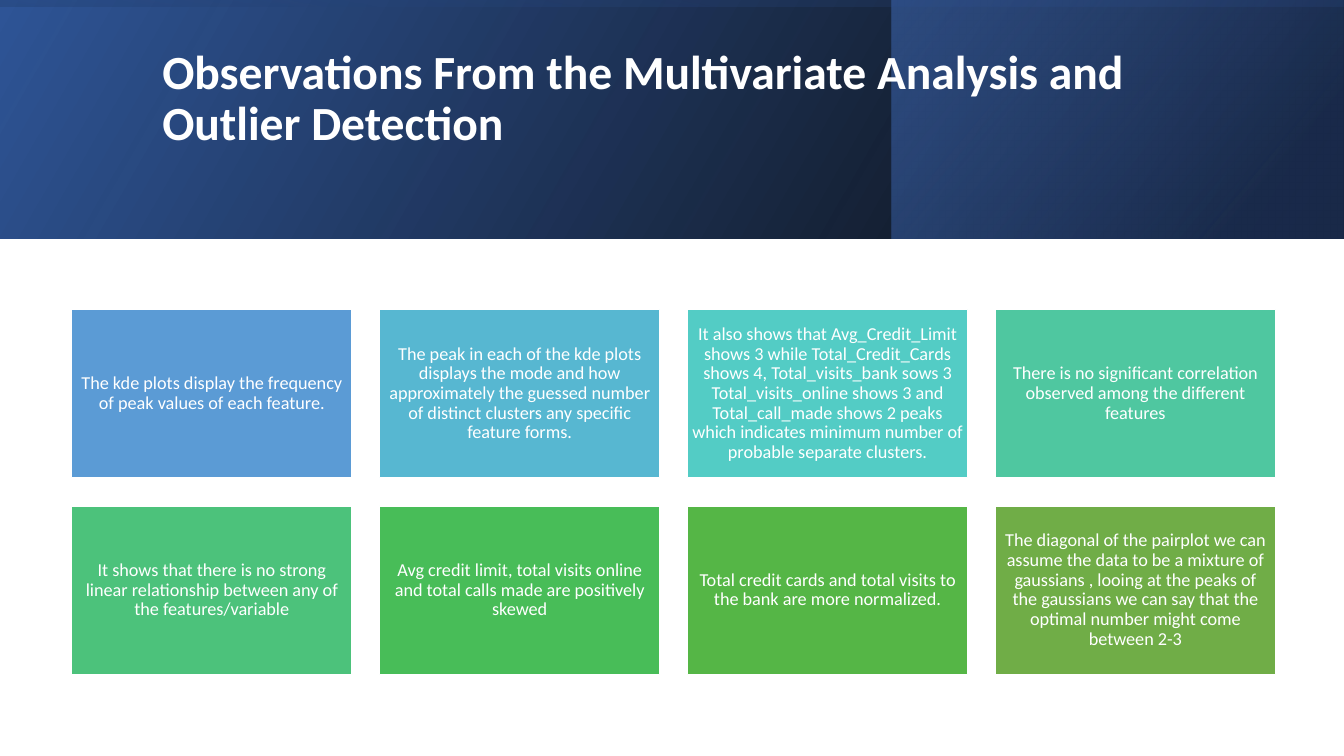
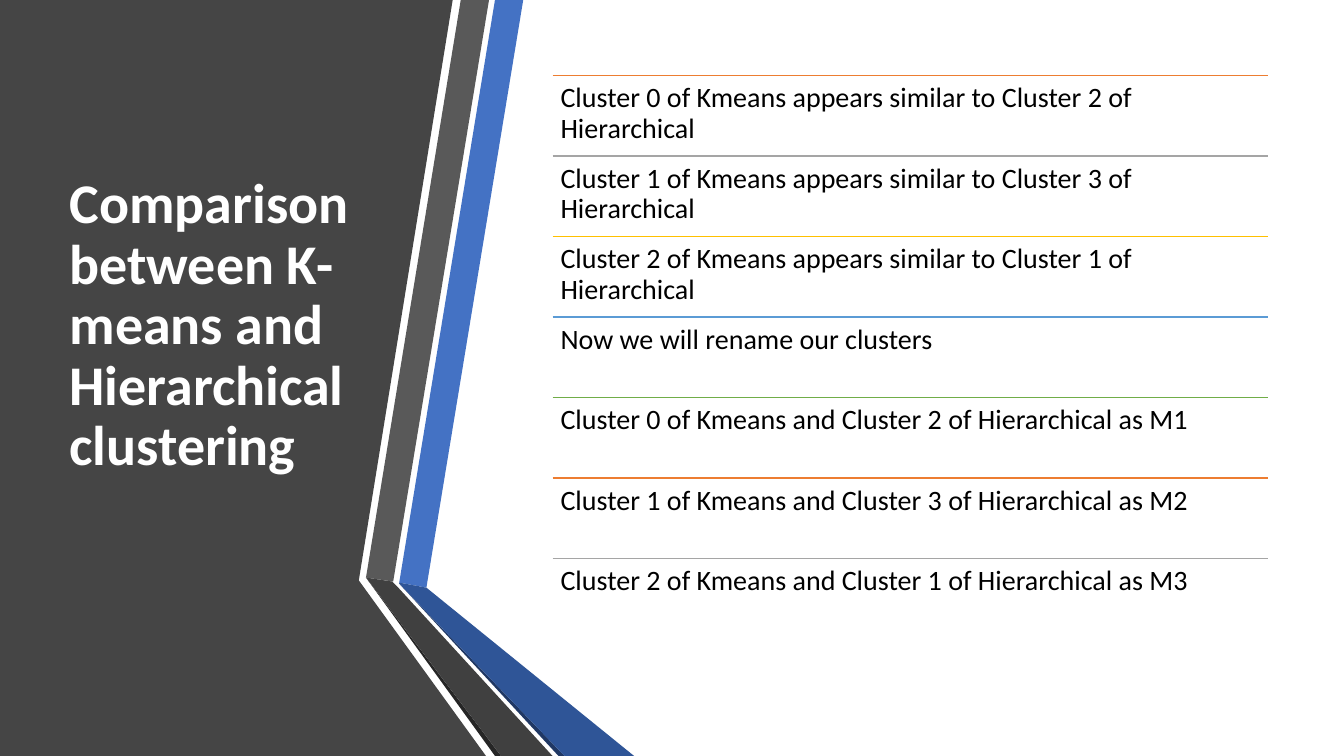
from dataclasses import dataclass

from lxml import etree
from pptx import Presentation
from pptx.dml.color import RGBColor
from pptx.enum import shapes, text
from pptx.oxml import parse_xml
from pptx.oxml.ns import nsdecls, qn
from pptx.util import Inches, Pt


@dataclass(frozen=True)
class Theme:
    font: str = "Calibri"
    white: str = "FFFFFF"
    black: str = "000000"
    dark: str = "454545"
    blue: str = "4472C4"
    deep: str = "2F5597"
    navy: str = "203864"
    sky: str = "5B9BD5"
    green: str = "70AD47"
    orange: str = "ED7D31"
    gray: str = "A5A5A5"
    gold: str = "FFC000"
    head: int = 34
    side: int = 40
    tile: int = 13
    row: int = 20
    lead: float = 0.9


T = Theme()

TILES = [
    ("The kde plots display the frequency of peak values of each feature.", T.sky),
    ("The peak in each of the kde plots displays the mode and how approximately "
     "the guessed number of distinct clusters any specific feature forms.", "57B7D1"),
    ("It also shows that Avg_Credit_Limit shows 3 while Total_Credit_Cards shows 4, "
     "Total_visits_bank sows 3 Total_visits_online shows 3 and Total_call_made shows "
     "2 peaks which indicates minimum number of probable separate clusters.", "53CCC5"),
    ("There is no significant correlation observed among the different features",
     "4FC7A0"),
    ("It shows that there is no strong linear relationship between any of the "
     "features/variable", "4CC27B"),
    ("Avg credit limit, total visits online and total calls made are positively "
     "skewed", "48BD58"),
    ("Total credit cards and total visits to the bank are more normalized.", "55B646"),
    ("The diagonal of the pairplot we can assume the data to be a mixture of "
     "gaussians , looing at the peaks of the gaussians we can say that the optimal "
     "number might come between 2-3", T.green),
]

ROWS = [
    "Cluster 0 of Kmeans appears similar to Cluster 2 of Hierarchical",
    "Cluster 1 of Kmeans appears similar to Cluster 3 of Hierarchical",
    "Cluster 2 of Kmeans appears similar to Cluster 1 of Hierarchical",
    "Now we will rename our clusters",
    "Cluster 0 of Kmeans and Cluster 2 of Hierarchical as M1",
    "Cluster 1 of Kmeans and Cluster 3 of Hierarchical as M2",
    "Cluster 2 of Kmeans and Cluster 1 of Hierarchical as M3",
]
RULES = [T.orange, T.gray, T.gold, T.sky, T.green]

FOLDS = [
    (T.dark, [(0, 0), (4.49, 0), (3.56, 5.75), (3.56, 5.76), (4.82, 7.5), (0, 7.5)]),
    (T.blue, [(3.96, 5.78), (4.23, 5.83), (5.19, 0), (4.91, 0)]),
    ("595959", [(4.85, 0), (4.57, 0), (3.63, 5.73), (3.9, 5.77)]),
    ("262626", [(3.63, 5.73), (4.91, 7.5), (4.97, 7.5)]),
    (T.navy, [(3.96, 5.79), (5.54, 7.5), (5.6, 7.5)]),
    (T.deep, [(3.96, 5.79), (5.6, 7.5), (6.29, 7.5), (4.23, 5.83), (3.96, 5.78)]),
    ("404040", [(5.48, 7.5), (3.95, 5.83), (3.89, 5.77), (3.63, 5.73), (4.97, 7.5)]),
]


def rgb(code):
    return RGBColor.from_string(code)


def write(shape, words, size, color=T.white, bold=False, align=text.PP_ALIGN.LEFT,
          anchor=text.MSO_ANCHOR.MIDDLE, inset=(0.1, 0.05, 0.1, 0.05)):
    """Fill a shape with one formatted paragraph; inset is left, top, right, bottom."""
    frame = shape.text_frame
    frame.word_wrap = True
    frame.auto_size = text.MSO_AUTO_SIZE.NONE
    frame.vertical_anchor = anchor
    (frame.margin_left, frame.margin_top,
     frame.margin_right, frame.margin_bottom) = map(Inches, inset)
    para = frame.paragraphs[0]
    para.alignment, para.line_spacing = align, T.lead
    run = para.add_run()
    run.text = words
    font = run.font
    font.name, font.size, font.bold = T.font, Pt(size), bold
    font.color.rgb = rgb(color)


def title(slide, words, box, size, lift):
    """Place the title above all else; lift is the bottom inset that raises it."""
    shape = slide.shapes.title
    shape.left, shape.top, shape.width, shape.height = map(Inches, box)
    write(shape, words, size, bold=True, inset=(0.1, 0.05, 0.1, lift))
    shape._element.getparent().append(shape._element)


def band(slide, box, stops, angle, turn=0):
    """Draw a mirrored rectangle with a see-through gradient."""
    shape = slide.shapes.add_shape(shapes.MSO_SHAPE.RECTANGLE, *map(Inches, box))
    shape.rotation = turn
    marks = "".join(
        f'<a:gs pos="{pos * 1000}"><a:srgbClr val="{code}">'
        f'<a:alpha val="{alpha * 1000}"/></a:srgbClr></a:gs>'
        for pos, code, alpha in stops)
    props = shape._element.spPr
    props.get_or_add_xfrm().set("flipH", "1")
    props.find(qn("a:prstGeom")).addnext(parse_xml(
        f'<a:gradFill {nsdecls("a")} rotWithShape="1"><a:gsLst>{marks}</a:gsLst>'
        f'<a:lin ang="{angle * 60000}" scaled="0"/></a:gradFill>'))
    shape.line.fill.background()
    shape.shadow.inherit = False


def tile(slide, box, words, color):
    shape = slide.shapes.add_shape(shapes.MSO_SHAPE.RECTANGLE, *map(Inches, box))
    shape.shadow.inherit = False
    shape.fill.solid()
    shape.fill.fore_color.rgb = rgb(color)
    shape.line.color.rgb = rgb(T.white)
    shape.line.width = Pt(1)
    write(shape, words, T.tile, align=text.PP_ALIGN.CENTER, inset=[0.05] * 4)


def fold(slide, color, points):
    dots = [(Inches(x), Inches(y)) for x, y in points]
    pen = slide.shapes.build_freeform(*dots[0])
    pen.add_line_segments(dots[1:], close=True)
    shape = pen.convert_to_shape()
    shape.shadow.inherit = False
    shape.fill.solid()
    shape.fill.fore_color.rgb = rgb(color)
    shape.line.fill.background()


def row(slide, box, words, color):
    """Write one line of the list under a coloured rule."""
    left, top, width, _ = map(Inches, box)
    rule = slide.shapes.add_connector(
        shapes.MSO_CONNECTOR.STRAIGHT, left, top, left + width, top)
    rule.line.color.rgb = rgb(color)
    rule.line.width = Pt(1)
    etree.SubElement(rule._element.spPr, qn("a:effectLst"))
    label = slide.shapes.add_textbox(*map(Inches, box))
    write(label, words, T.row, color=T.black, anchor=text.MSO_ANCHOR.TOP,
          inset=[0.08] * 4)


def findings(slide):
    band(slide, (0, 0, 13.33, 2.37), [(0, T.black, 96), (100, T.deep, 100)], 330)
    band(slide, (8.84, 0, 4.48, 2.37), [(19, T.navy, 68), (100, T.blue, 48)], 320)
    band(slide, (5.48, -5.48, 2.37, 13.33),
         [(23, T.deep, 16), (99, T.black, 45)], 350, turn=270)
    title(slide, "Observations From the Multivariate Analysis and Outlier Detection",
          (1.51, 0.38, 10.63, 1.72), T.head, lift=0.56)
    cols, left, right, top = 4, 0.71, 12.65, 3.07
    wide, high, drop = 2.78, 1.67, 1.95
    step = (right - left - wide) / (cols - 1)
    for i, (words, color) in enumerate(TILES):
        line, col = divmod(i, cols)
        tile(slide, (left + col * step, top + line * drop, wide, high), words, color)


def matches(slide):
    for color, points in FOLDS:
        fold(slide, color, points)
    title(slide, "Comparison between K-means and Hierarchical clustering",
          (0.59, 0.75, 3.04, 5.58), T.side, lift=0.65)
    top, high = 0.75, 5.59 / len(ROWS)
    for i, words in enumerate(ROWS):
        row(slide, (5.48, top + i * high, 7.1, high), words, RULES[i % len(RULES)])


def main():
    deck = Presentation()
    deck.slide_width, deck.slide_height = Inches(13.33), Inches(7.5)
    for build in (findings, matches):
        build(deck.slides.add_slide(deck.slide_layouts[5]))
    deck.save("out.pptx")


if __name__ == "__main__":
    main()
